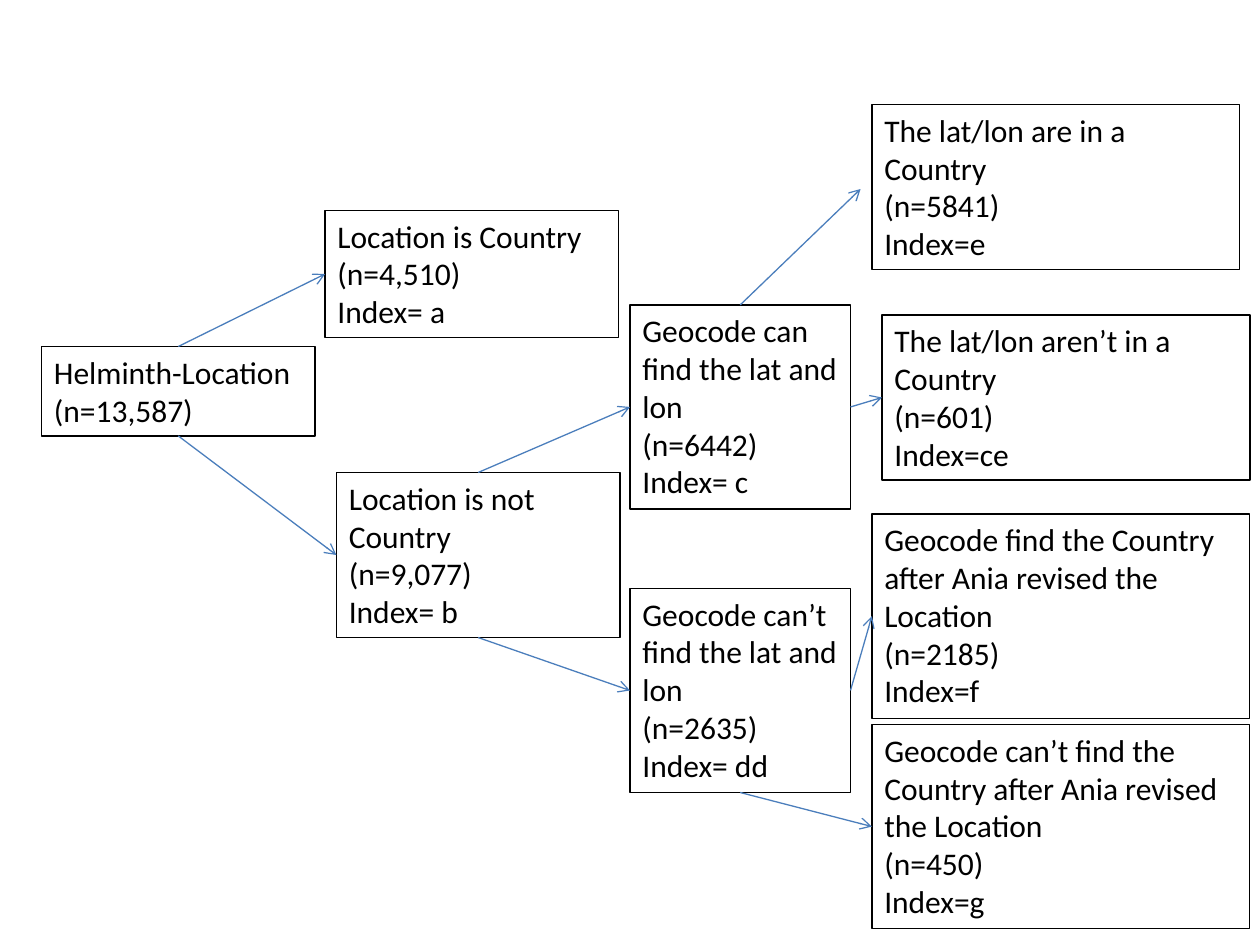
from dataclasses import dataclass
from typing import Optional

import pptx
import pptx.dml.color
import pptx.enum.shapes
import pptx.enum.text
import pptx.oxml.ns
import pptx.util
from lxml import etree
from pptx.util import Inches

BLACK = pptx.dml.color.RGBColor(0x00, 0x00, 0x00)
BLUE = pptx.dml.color.RGBColor(0x4B, 0x7E, 0xBC)
FONT = "Calibri"
TOP, LEFT, BOTTOM, RIGHT = range(4)


@dataclass
class Box:
    left: float
    top: float
    width: float
    height: float
    lines: tuple[str, ...]


@dataclass
class Arrow:
    start: str
    start_side: int
    end: Optional[str] = None
    free_end: tuple[float, float] = (0, 0)


# Boxes of the decision tree, column by column
BOXES = {
    "all": Box(0.33, 2.75, 2.17, 0.71, ("Helminth-Location", "(n=13,587)")),
    "a": Box(2.58, 1.67, 2.33, 1.01, ("Location is Country", "(n=4,510)", "Index= a")),
    "b": Box(2.67, 3.75, 2.25, 1.31, ("Location is not Country", "(n=9,077)", "Index= b")),
    "c": Box(5, 2.42, 1.75, 1.62,
             ("Geocode can find the lat and lon", "(n=6442)", "Index= c")),
    "dd": Box(5, 4.67, 1.75, 1.62,
              ("Geocode can’t find the lat and lon", "(n=2635)", "Index= dd")),
    "e": Box(6.92, 0.83, 2.92, 1.31, ("The lat/lon are in a Country", "(n=5841)", "Index=e")),
    "ce": Box(7, 2.5, 2.92, 1.31, ("The lat/lon aren’t in a Country", "(n=601)", "Index=ce")),
    "f": Box(6.92, 4.08, 3, 1.62,
             ("Geocode find the Country after Ania revised the Location",
              "(n=2185)", "Index=f")),
    "g": Box(6.92, 5.75, 3, 1.62,
             ("Geocode can’t find the Country after Ania revised the Location",
              "(n=450)", "Index=g")),
}

# Arrows enter the left side of the next box; the one towards "e" stops short of it
ARROWS = [
    Arrow("all", TOP, "a"),
    Arrow("all", BOTTOM, "b"),
    Arrow("b", TOP, "c"),
    Arrow("b", BOTTOM, "dd"),
    Arrow("c", TOP, free_end=(6.83, 1.5)),
    Arrow("c", RIGHT, "ce"),
    Arrow("dd", RIGHT, "f"),
    Arrow("dd", BOTTOM, "g"),
]


def add_box(s: pptx.slide.Slide, box: Box):
    sp = s.shapes.add_textbox(Inches(box.left), Inches(box.top),
                              Inches(box.width), Inches(box.height))
    sp.line.color.rgb = BLACK
    sp.line.width = pptx.util.Pt(0.75)
    tf = sp.text_frame
    tf.word_wrap = True
    tf.auto_size = pptx.enum.text.MSO_AUTO_SIZE.SHAPE_TO_FIT_TEXT
    for i, line in enumerate(box.lines):
        p = tf.add_paragraph() if i else tf.paragraphs[0]
        r = p.add_run()
        r.text = line
        r.font.name = FONT
        r.font.size = pptx.util.Pt(18)
        r.font.color.rgb = BLACK
    return sp


def add_arrow(s: pptx.slide.Slide, arrow: Arrow, shapes: dict) -> None:
    x, y = arrow.free_end
    cx = s.shapes.add_connector(pptx.enum.shapes.MSO_CONNECTOR.STRAIGHT,
                                0, 0, Inches(x), Inches(y))
    cx.begin_connect(shapes[arrow.start], arrow.start_side)
    if arrow.end:
        cx.end_connect(shapes[arrow.end], LEFT)
    cx.line.color.rgb = BLUE
    cx.line.width = pptx.util.Pt(0.75)
    # Open arrowhead, no shadow
    qn = pptx.oxml.ns.qn
    etree.SubElement(cx.line._get_or_add_ln(), qn("a:tailEnd"), type="arrow")
    etree.SubElement(cx._element.spPr, qn("a:effectLst"))


def main() -> None:
    prs = pptx.Presentation()
    prs.slide_width, prs.slide_height = Inches(10), Inches(7.5)
    s = prs.slides.add_slide(prs.slide_layouts[6])
    shapes = {key: add_box(s, box) for key, box in BOXES.items()}
    for arrow in ARROWS:
        add_arrow(s, arrow, shapes)
    prs.save("out.pptx")


if __name__ == "__main__":
    main()
